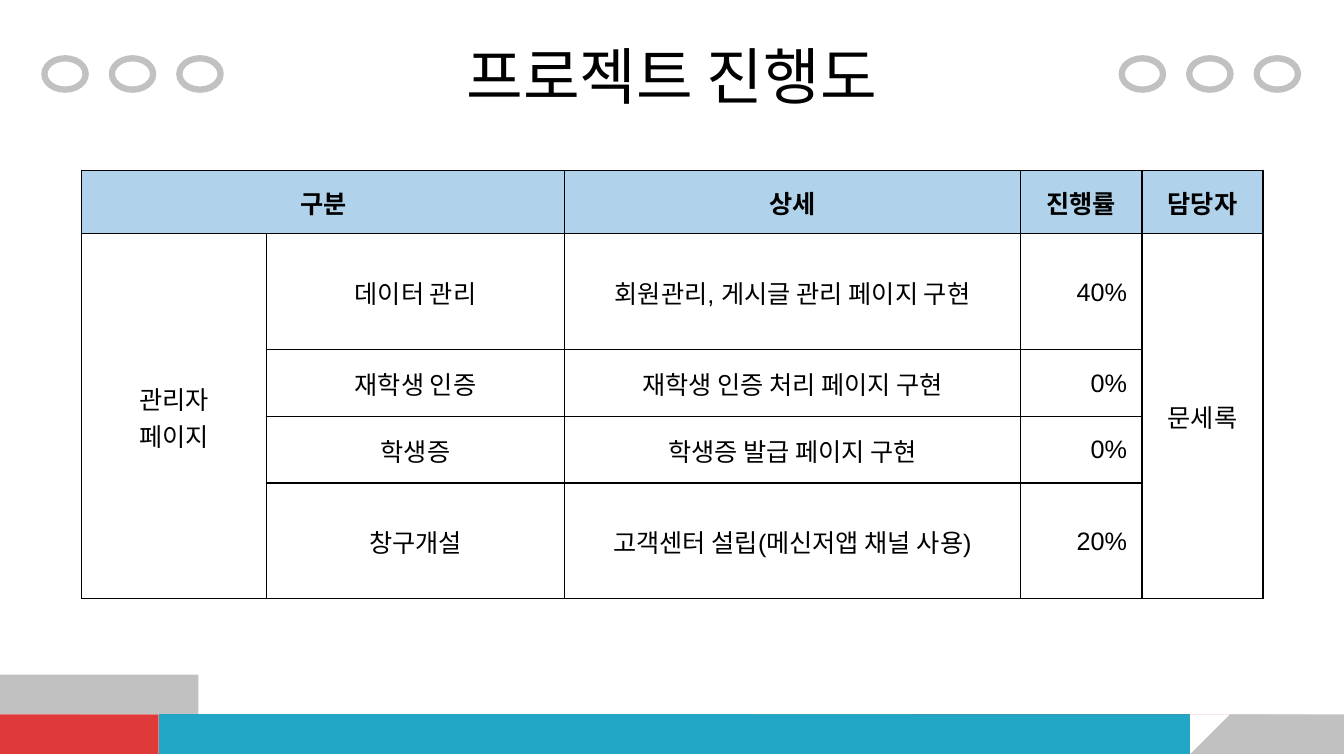
from dataclasses import dataclass

from lxml.etree import SubElement
from pptx import Presentation
from pptx.dml.color import RGBColor
from pptx.enum.shapes import MSO_SHAPE
from pptx.enum.text import MSO_ANCHOR, PP_ALIGN
from pptx.oxml.ns import qn
from pptx.util import Cm, Pt


@dataclass(frozen=True)
class Theme:
    ink: str = "000000"
    header: str = "B0D3EB"
    grey: str = "C1C1C1"
    pale: str = "DADADA"
    red: str = "DF3939"
    teal: str = "21A6C5"
    orange: str = "F0A73C"
    title_font: str = "Cabin"
    body_font: str = "Arial"
    title_size: int = 44
    body_size: int = 18
    ring_width: float = 4.5
    border_width: float = 1


THEME = Theme()

RIBBONS = [
    (THEME.grey, [(0, 17.3), (4.55, 17.37), (5.05, 17.7), (1.93, 17.7), (1.88, 17.88), (0, 17.88)]),
    (THEME.red, [(0, 17.98), (1.85, 17.98), (1.73, 18.26), (3.81, 18.26), (4.04, 19.05), (0, 19.05)]),
    (THEME.pale, [(2.03, 17.75), (18.67, 17.78), (18.42, 18.11), (1.85, 18.19)]),
    (THEME.teal, [(3.91, 18.29), (30.35, 18.19), (30.07, 19.05), (4.11, 19.05)]),
    (THEME.orange, [(18.9, 17.58), (22.78, 17.65), (22.89, 18.11), (18.54, 18.14)]),
    (THEME.red, [(22.83, 17.65), (31.98, 17.68), (30.99, 18.06), (23.01, 18.11)]),
    (THEME.teal, [(32.18, 17.68), (33.38, 17.68), (32.31, 18.08), (31.17, 18.08)]),
    (THEME.grey, [(30.51, 18.16), (32.36, 18.19), (33.63, 17.68), (33.86, 17.68),
                  (33.86, 19.05), (30.23, 19.05)]),
]

COLUMNS = [4.65, 7.52, 11.48, 3.07, 3.05]
ROWS = [1.6, 2.92, 1.68, 1.68, 2.92]
RATE_COLUMN = 3
PROGRESS = [
    ["구분", "", "상세", "진행률", "담당자"],
    ["관리자\n페이지", "데이터 관리", "회원관리, 게시글 관리 페이지 구현", "40%", "문세록"],
    ["", "재학생 인증", "재학생 인증 처리 페이지 구현", "0%", ""],
    ["", "학생증", "학생증 발급 페이지 구현", "0%", ""],
    ["", "창구개설", "고객센터 설립(메신저앱 채널 사용)", "20%", ""],
]


def write(tf, text, font=THEME.body_font, size=THEME.body_size, color=THEME.ink,
          bold=False, align=PP_ALIGN.CENTER):
    for i, line in enumerate(text.split("\n")):
        p = tf.add_paragraph() if i else tf.paragraphs[0]
        p.alignment = align
        r = p.add_run()
        r.text = line
        r.font.name = font
        r.font.size = Pt(size)
        r.font.bold = bold
        r.font.color.rgb = RGBColor.from_string(color)


def add_title(s, text):
    sp = s.shapes.title
    sp.left, sp.top, sp.width, sp.height = Cm(5.92), Cm(0.3), Cm(22.02), Cm(3.18)
    sp.text_frame.vertical_anchor = MSO_ANCHOR.MIDDLE
    write(sp.text_frame, text, font=THEME.title_font, size=THEME.title_size)


def add_ribbon(s, color, points):
    builder = s.shapes.build_freeform(*points[0], scale=Cm(1))
    builder.add_line_segments(points[1:], close=True)
    sp = builder.convert_to_shape()
    sp.shadow.inherit = False
    sp.fill.solid()
    sp.fill.fore_color.rgb = RGBColor.from_string(color)
    sp.line.fill.background()


def add_rings(s, left, count=3, step=1.7):
    for i in range(count):
        sp = s.shapes.add_shape(MSO_SHAPE.OVAL, Cm(left + i * step), Cm(1.47), Cm(1.04), Cm(0.79))
        sp.shadow.inherit = False
        sp.fill.background()
        sp.line.color.rgb = RGBColor.from_string(THEME.grey)
        sp.line.width = Pt(THEME.ring_width)


def set_borders(cell):
    """Draw all four sides; borders must come before the fill in the cell properties."""
    tc_pr = cell._tc.get_or_add_tcPr()
    for i, side in enumerate(("a:lnL", "a:lnR", "a:lnT", "a:lnB")):
        ln = SubElement(tc_pr, qn(side), w=str(Pt(THEME.border_width)))
        SubElement(SubElement(ln, qn("a:solidFill")), qn("a:srgbClr"), val=THEME.ink)
        tc_pr.insert(i, ln)


def format_cell(cell, text, header, rate):
    cell.vertical_anchor = MSO_ANCHOR.MIDDLE
    cell.margin_left = cell.margin_top = cell.margin_right = Cm(0.03)
    cell.margin_bottom = Cm(0)
    if header:
        cell.fill.solid()
        cell.fill.fore_color.rgb = RGBColor.from_string(THEME.header)
    else:
        cell.fill.background()
    set_borders(cell)
    if rate and not header:
        cell.margin_right = Cm(0.38)
    if text:
        align = PP_ALIGN.RIGHT if rate and not header else PP_ALIGN.CENTER
        write(cell.text_frame, text, bold=header, align=align)


def add_progress_table(s):
    table = s.shapes.add_table(len(ROWS), len(COLUMNS), Cm(2.06), Cm(4.29),
                               Cm(sum(COLUMNS)), Cm(sum(ROWS))).table
    table.first_row = table.horz_banding = False
    for column, width in zip(table.columns, COLUMNS):
        column.width = Cm(width)
    for row, height in zip(table.rows, ROWS):
        row.height = Cm(height)
    for i, texts in enumerate(PROGRESS):
        for j, text in enumerate(texts):
            format_cell(table.cell(i, j), text, header=i == 0, rate=j == RATE_COLUMN)
    table.cell(0, 0).merge(table.cell(0, 1))
    for j in (0, len(COLUMNS) - 1):
        table.cell(1, j).merge(table.cell(len(ROWS) - 1, j))


def main():
    prs = Presentation()
    prs.slide_width, prs.slide_height = Cm(33.87), Cm(19.05)
    s = prs.slides.add_slide(prs.slide_layouts[5])
    for color, points in RIBBONS:
        add_ribbon(s, color, points)
    for left in (1.12, 28.27):
        add_rings(s, left)
    add_title(s, "프로젝트 진행도")
    add_progress_table(s)
    prs.save("out.pptx")


if __name__ == "__main__":
    main()
